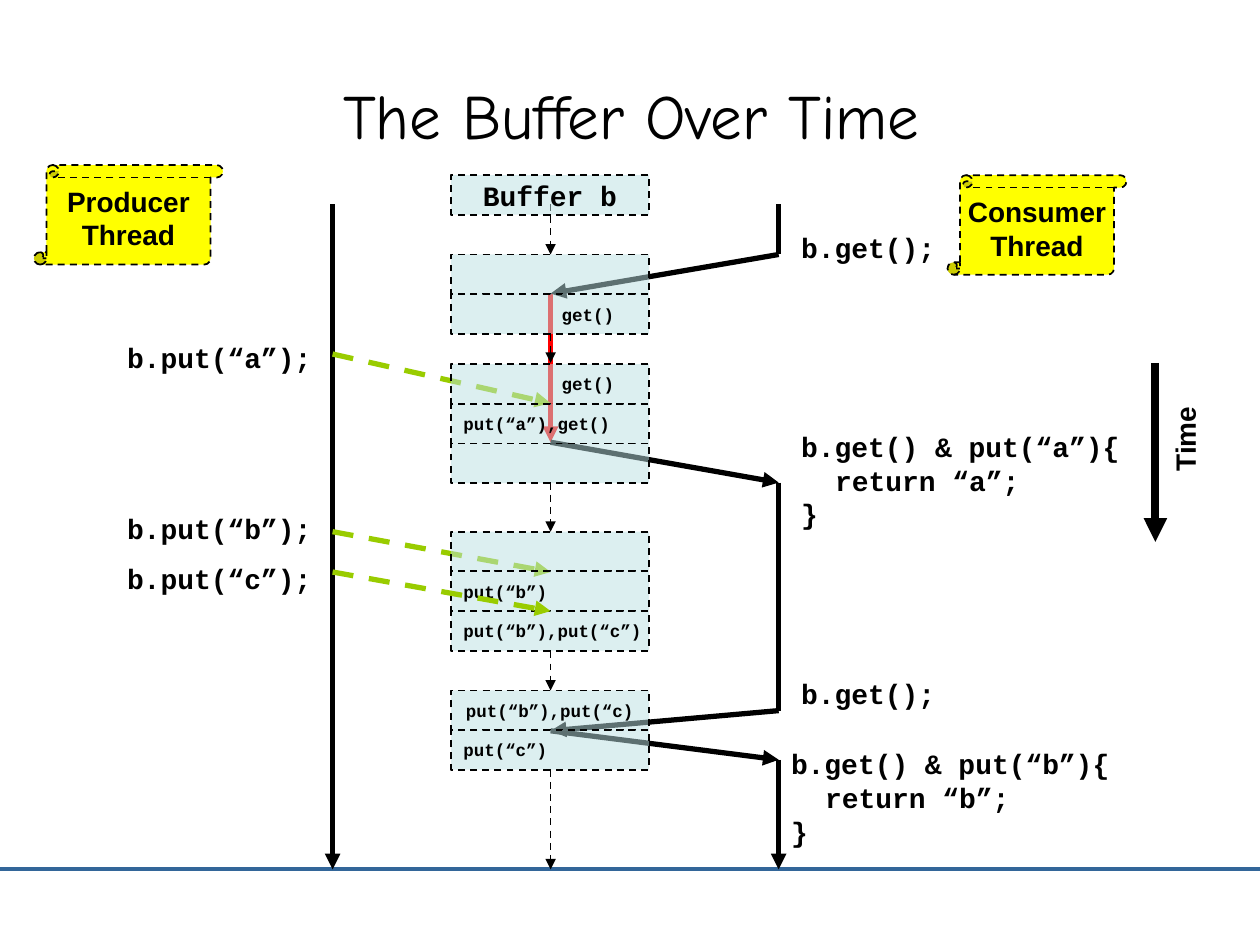
"""Build the slide showing a shared buffer between two threads over time."""
from lxml import etree
from pptx import Presentation
from pptx.dml.color import RGBColor
from pptx.enum.dml import MSO_LINE
from pptx.enum.shapes import MSO_CONNECTOR, MSO_SHAPE
from pptx.enum.text import MSO_ANCHOR, PP_ALIGN
from pptx.oxml.ns import qn
from pptx.util import Inches, Pt

LEFT, CENTER, RIGHT = PP_ALIGN.LEFT, PP_ALIGN.CENTER, PP_ALIGN.RIGHT
TOP, MIDDLE = MSO_ANCHOR.TOP, MSO_ANCHOR.MIDDLE
RECTANGLE, SCROLL = MSO_SHAPE.RECTANGLE, MSO_SHAPE.VERTICAL_SCROLL
STRAIGHT, DASH = MSO_CONNECTOR.STRAIGHT, MSO_LINE.DASH

BLACK, RED, GREEN, BLUE = "000000", "FF0000", "99CC00", "336699"
YELLOW, PALE = "FFFF00", "BBE0E3"
SANS, CODE = "Arial", "Courier New"
PRODUCER_X, BUFFER_X, CONSUMER_X, TIME_X = 2.64, 4.37, 6.18, 9.17
START_Y, END_Y = 1.62, 6.9
CELL_LEFT, CELL_WIDTH, CELL_HEIGHT = 3.58, 1.57, 0.315
CODE_INDENT = 0.27

TITLE = "The Buffer Over Time"

# start, end, color, width, dashed, arrowhead
BACK_LINES = [
    ((10, END_Y), (0, END_Y), BLUE, 2.25, False, False),
    ((BUFFER_X, 2.33), (BUFFER_X, 3.51), RED, 3, False, True),
    ((BUFFER_X, START_Y), (BUFFER_X, 2.02), BLACK, 1, True, True),
    ((PRODUCER_X, START_Y), (PRODUCER_X, END_Y), BLACK, 3, False, True),
    ((CONSUMER_X, START_Y), (CONSUMER_X, 2.02), BLACK, 3, False, False),
    ((CONSUMER_X, 2.02), (BUFFER_X, 2.33), BLACK, 3, False, True),
    ((BUFFER_X, 3.51), (CONSUMER_X, 3.83), BLACK, 3, False, True),
    ((PRODUCER_X, 2.81), (BUFFER_X, 3.2), GREEN, 3, True, True),
    ((CONSUMER_X, 3.83), (CONSUMER_X, 5.64), BLACK, 3, False, False),
    ((CONSUMER_X, 5.64), (BUFFER_X, 5.8), BLACK, 3, False, True),
    ((CONSUMER_X, 6.03), (CONSUMER_X, END_Y), BLACK, 3, False, True),
    ((BUFFER_X, 5.8), (CONSUMER_X, 6.03), BLACK, 3, False, True),
    ((PRODUCER_X, 4.22), (BUFFER_X, 4.54), GREEN, 3, True, True),
    ((TIME_X, 2.88), (TIME_X, 4.3), BLACK, 4.5, False, True),
]
FRONT_LINES = [
    ((BUFFER_X, 2.65), (BUFFER_X, 2.88), BLACK, 1, True, True),
    ((BUFFER_X, 3.83), (BUFFER_X, 4.22), BLACK, 1, True, True),
    ((BUFFER_X, 5.17), (BUFFER_X, 5.48), BLACK, 1, True, True),
    ((BUFFER_X, 6.11), (BUFFER_X, END_Y), BLACK, 1, True, True),
    ((PRODUCER_X, 4.54), (BUFFER_X, 4.85), GREEN, 3, True, True),
]
# top of a stack of cells, then (text, indent) for each cell
BUFFER_STATES = [
    (2.02, [("", 0), ("get()", 0.78)]),
    (2.89, [("get()", 0.78), ("put(“a”),get()", 0), ("", 0)]),
    (4.22, [("", 0), ("put(“b”)", 0), ("put(“b”),put(“c”)", 0)]),
    (5.48, [("put(“b”),put(“c)", 0.02), ("put(“c”)", 0)]),
]
PRODUCER_CALLS = [(2.65, "b.put(“a”);"), (4.01, "b.put(“b”);"), (4.41, "b.put(“c”);")]
# position and (text, indent) for each line of code
CONSUMER_CALLS = [
    ((6.26, 1.78, 2.05, 0.37), [("b.get();", 0)]),
    ((6.26, 3.36, 3.66, 0.9),
     [("b.get() & put(“a”){", 0), ("return “a”;", CODE_INDENT), ("}", 0)]),
    ((6.26, 5.32, 2.05, 0.37), [("b.get();", 0)]),
    ((6.18, 5.88, 3.66, 0.9),
     [("b.get() & put(“b”){", 0), ("return “b”;", CODE_INDENT), ("}", 0)]),
]
THREADS = [((0.27, 1.31, 1.5, 0.79), "Producer"), ((7.52, 1.39, 1.42, 0.79), "Consumer")]


def rgb(color):
    """Turn a hex string into a color."""
    return RGBColor.from_string(color)


def write(box, lines, size, font=CODE, align=LEFT, anchor=TOP, wrap=True, bold=True):
    """Fill a box with (text, indent) lines."""
    frame = box.text_frame
    frame.word_wrap = wrap
    frame.vertical_anchor = anchor
    for index, (text, indent) in enumerate(lines):
        para = frame.add_paragraph() if index else frame.paragraphs[0]
        para.alignment = align
        if indent:
            para._p.get_or_add_pPr().set("marL", str(Inches(indent)))
        span = para.add_run()
        span.text = text
        span.font.size = Pt(size)
        span.font.name = font
        span.font.bold = bold
        span.font.color.rgb = rgb(BLACK)


def add_line(slide, start, end, color, width, dashed, arrow):
    """Draw a straight line, optionally dashed or with an arrowhead."""
    line = slide.shapes.add_connector(STRAIGHT, *map(Inches, start + end))
    line.line.color.rgb = rgb(color)
    line.line.width = Pt(width)
    if dashed:
        line.line.dash_style = DASH
    if arrow:
        etree.SubElement(line.line._get_or_add_ln(), qn("a:tailEnd"), type="triangle")
    etree.SubElement(line._element.spPr, qn("a:effectLst"))


def add_dashed_shape(slide, kind, place, color, opacity=100):
    """Add a filled shape with a dashed black outline."""
    shape = slide.shapes.add_shape(kind, *map(Inches, place))
    shape.shadow.inherit = False
    shape.fill.solid()
    shape.fill.fore_color.rgb = rgb(color)
    if opacity < 100:
        fill = shape._element.spPr.find(qn("a:solidFill"))
        etree.SubElement(fill[0], qn("a:alpha"), val=str(opacity * 1000))
    shape.line.color.rgb = rgb(BLACK)
    shape.line.width = Pt(1)
    shape.line.dash_style = DASH
    return shape


def add_cell(slide, top):
    """Add one translucent buffer cell."""
    place = (CELL_LEFT, top, CELL_WIDTH, CELL_HEIGHT)
    return add_dashed_shape(slide, RECTANGLE, place, PALE, 50)


def add_label(slide, place, lines, **style):
    """Add a text box with a 16-point label."""
    box = slide.shapes.add_textbox(*map(Inches, place))
    write(box, lines, 16, **style)
    return box


def main():
    """Build and save the deck."""
    deck = Presentation()
    deck.slide_width, deck.slide_height = Inches(10), Inches(7.5)
    slide = deck.slides.add_slide(deck.slide_layouts[5])

    title = slide.shapes.title
    title.left, title.top, title.width, title.height = map(Inches, (0.51, 0.28, 9, 1.25))
    write(title, [(TITLE, 0)], 36, "Comic Neue", CENTER, MIDDLE, bold=False)

    for line in BACK_LINES:
        add_line(slide, *line)

    header = add_cell(slide, 1.39)
    write(header, [("Buffer b", 0)], 16, align=CENTER, anchor=MIDDLE, wrap=False)
    for top, cells in BUFFER_STATES:
        for row, (text, indent) in enumerate(cells):
            cell = add_cell(slide, top + row * CELL_HEIGHT)
            if text:
                cell.text_frame.margin_right = 0
                write(cell, [(text, indent)], 10, anchor=MIDDLE)

    for line in FRONT_LINES:
        add_line(slide, *line)

    for place, role in THREADS:
        scroll = add_dashed_shape(slide, SCROLL, place, YELLOW)
        write(scroll, [(role, 0), ("Thread", 0)], 16, SANS, CENTER, MIDDLE, wrap=False)
    for top, call in PRODUCER_CALLS:
        add_label(slide, (0.83, top, 1.74, 0.37), [(call, 0)], align=RIGHT)
    for place, lines in CONSUMER_CALLS:
        add_label(slide, place, lines)
    time = add_label(slide, (9.05, 3.3, 0.71, 0.37), [("Time", 0)],
                     font=SANS, align=CENTER, wrap=False)
    time.rotation = 270

    deck.save("out.pptx")


if __name__ == "__main__":
    main()
